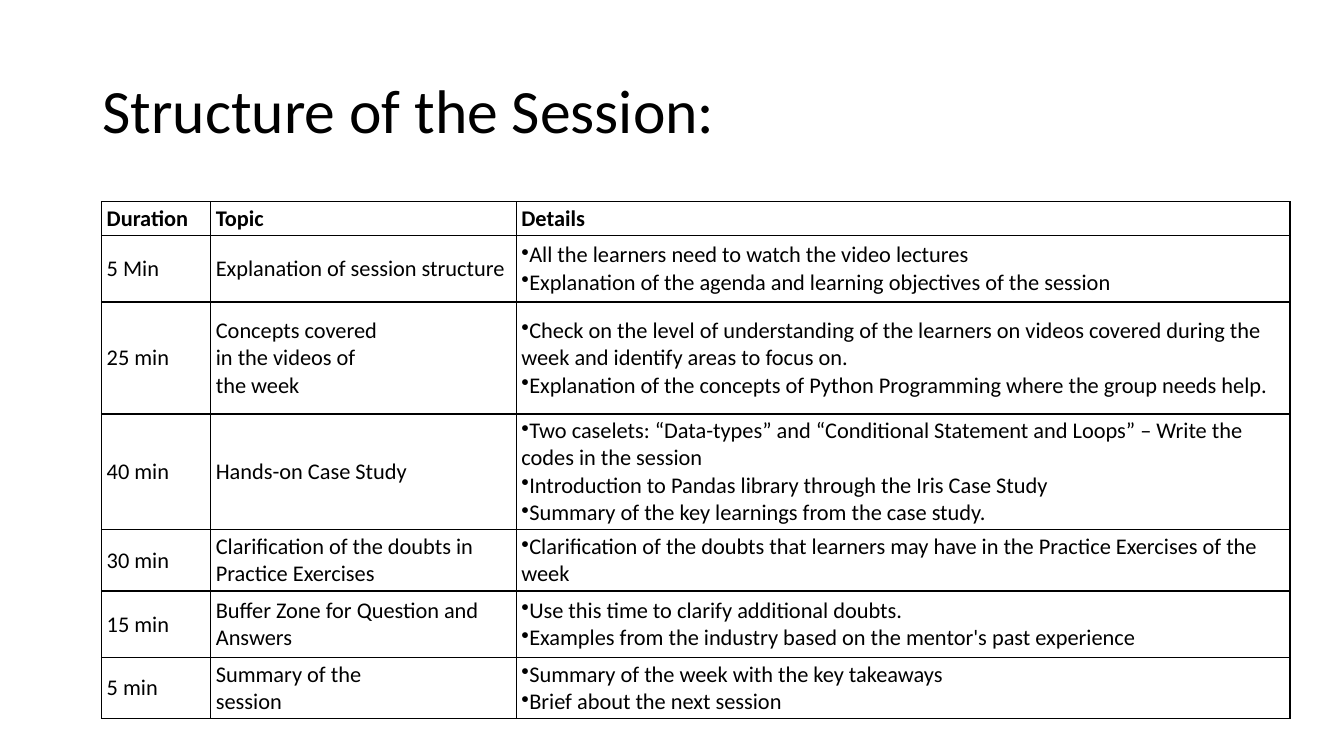
from lxml.etree import SubElement
from pptx import Presentation
from pptx.dml.color import RGBColor
from pptx.enum.text import MSO_ANCHOR, PP_ALIGN
from pptx.oxml import parse_xml
from pptx.oxml.ns import nsdecls, qn
from pptx.util import Cm, Pt

INK = "000000"
HEADINGS = ("Duration", "Topic", "Details")
# Duration, topic, details, row height in cm
SESSION = [
    ("5 Min", "Explanation of session structure",
     ["All the learners need to watch the video lectures",
      "Explanation of the agenda and learning objectives of the session"], 1.68),
    ("25 min", "Concepts covered\vin the videos of\vthe week",
     ["Check on the level of understanding of the learners on videos covered "
      "during the week and identify areas to focus on.",
      "Explanation of the concepts of Python Programming where the group needs help."], 2.82),
    ("40 min", "Hands-on Case Study",
     ["Two caselets: “Data-types” and “Conditional Statement and Loops” – "
      "Write the codes in the session",
      "Introduction to Pandas library through the Iris Case Study",
      "Summary of the key learnings from the case study."], 2.82),
    ("30 min", "Clarification of the doubts in Practice Exercises",
     ["Clarification of the doubts that learners may have in the Practice "
      "Exercises of the week"], 1.3),
    ("15 min", "Buffer Zone for Question and Answers",
     ["Use this time to clarify additional doubts.",
      "Examples from the industry based on the mentor's past experience"], 1.68),
    ("5 min", "Summary of the\vsession",
     ["Summary of the week with the key takeaways",
      "Brief about the next session"], 1.3),
]


def color(hex_string):
    """Turn a hex string into a colour."""
    return RGBColor.from_string(hex_string)


class SlideBuilder:
    """Holds the style and the current slide."""

    def __init__(self, slide, font="Calibri", ink=INK):
        """Keep the slide and its text style."""
        self.slide = slide
        self.font = font
        self.ink = ink

    def style(self, paragraph, size, bold=False):
        """Format a whole paragraph."""
        paragraph.alignment = PP_ALIGN.LEFT
        font = paragraph.font
        font.name, font.size, font.bold = self.font, Pt(size), bold
        font.color.rgb = color(self.ink)

    def title(self, text, left, top, width, height):
        """Fill and place the title placeholder."""
        heading = self.slide.shapes.title
        heading.left, heading.top = Cm(left), Cm(top)
        heading.width, heading.height = Cm(width), Cm(height)
        heading.text_frame.vertical_anchor = MSO_ANCHOR.MIDDLE
        heading.text_frame.text = text
        paragraph = heading.text_frame.paragraphs[0]
        paragraph.line_spacing = 0.9
        self.style(paragraph, 44)

    def border(self, cell):
        """Draw a 1 pt line on all four sides of a cell."""
        properties = cell._tc.get_or_add_tcPr()
        for position, side in enumerate(("lnL", "lnR", "lnT", "lnB")):
            properties.insert(position, parse_xml(
                f'<a:{side} {nsdecls("a")} w="{Pt(1)}"><a:solidFill>'
                f'<a:srgbClr val="{self.ink}"/></a:solidFill></a:{side}>'))

    def bullet(self, paragraph):
        """Put a bullet directly before the paragraph."""
        properties = paragraph._p.get_or_add_pPr()
        properties.set("marL", "0")
        properties.set("indent", "0")
        mark = SubElement(properties, qn("a:buChar"))
        mark.set("char", "•")
        properties.insert(0, mark)

    def cell(self, cell, content, bold=False):
        """Fill a cell with a text, or with a bulleted list."""
        cell.fill.background()
        self.border(cell)
        cell.vertical_anchor = MSO_ANCHOR.MIDDLE
        cell.margin_left = cell.margin_right = Cm(0.13)
        cell.margin_top = cell.margin_bottom = Cm(0.08)
        bulleted = isinstance(content, list)
        lines = content if bulleted else [content]
        for number, line in enumerate(lines):
            frame = cell.text_frame
            paragraph = frame.add_paragraph() if number else frame.paragraphs[0]
            paragraph.text = line
            self.style(paragraph, 16, bold)
            if bulleted:
                self.bullet(paragraph)

    def table(self, rows, left, top, widths, heights):
        """Add a ruled table whose first row is bold."""
        table = self.slide.shapes.add_table(
            len(rows), len(widths), Cm(left), Cm(top),
            Cm(sum(widths)), Cm(sum(heights))).table
        table.first_row = table.horz_banding = False
        for column, width in zip(table.columns, widths):
            column.width = Cm(width)
        for index, (row, height) in enumerate(zip(table.rows, heights)):
            row.height = Cm(height)
            for cell, content in zip(row.cells, rows[index]):
                self.cell(cell, content, bold=index == 0)


def main():
    """Build and save the session plan."""
    deck = Presentation()
    deck.slide_width, deck.slide_height = Cm(33.87), Cm(19.05)
    builder = SlideBuilder(deck.slides.add_slide(deck.slide_layouts[5]))
    builder.title("Structure of the Session:", 2.33, 1.01, 29.21, 3.68)
    builder.table([HEADINGS] + [entry[:3] for entry in SESSION], 2.56, 5.08,
                  widths=(2.75, 7.7, 19.5),
                  heights=[0.51] + [entry[3] for entry in SESSION])
    deck.save("out.pptx")


main()
